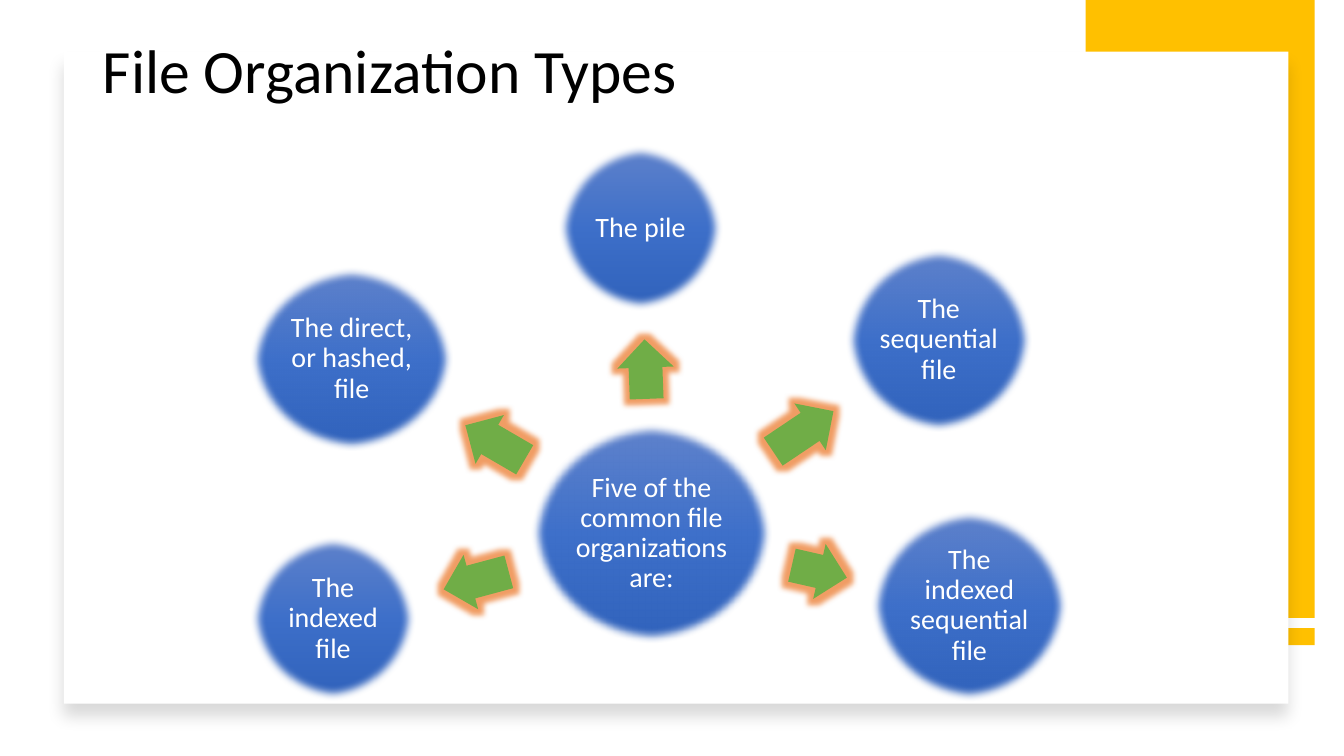
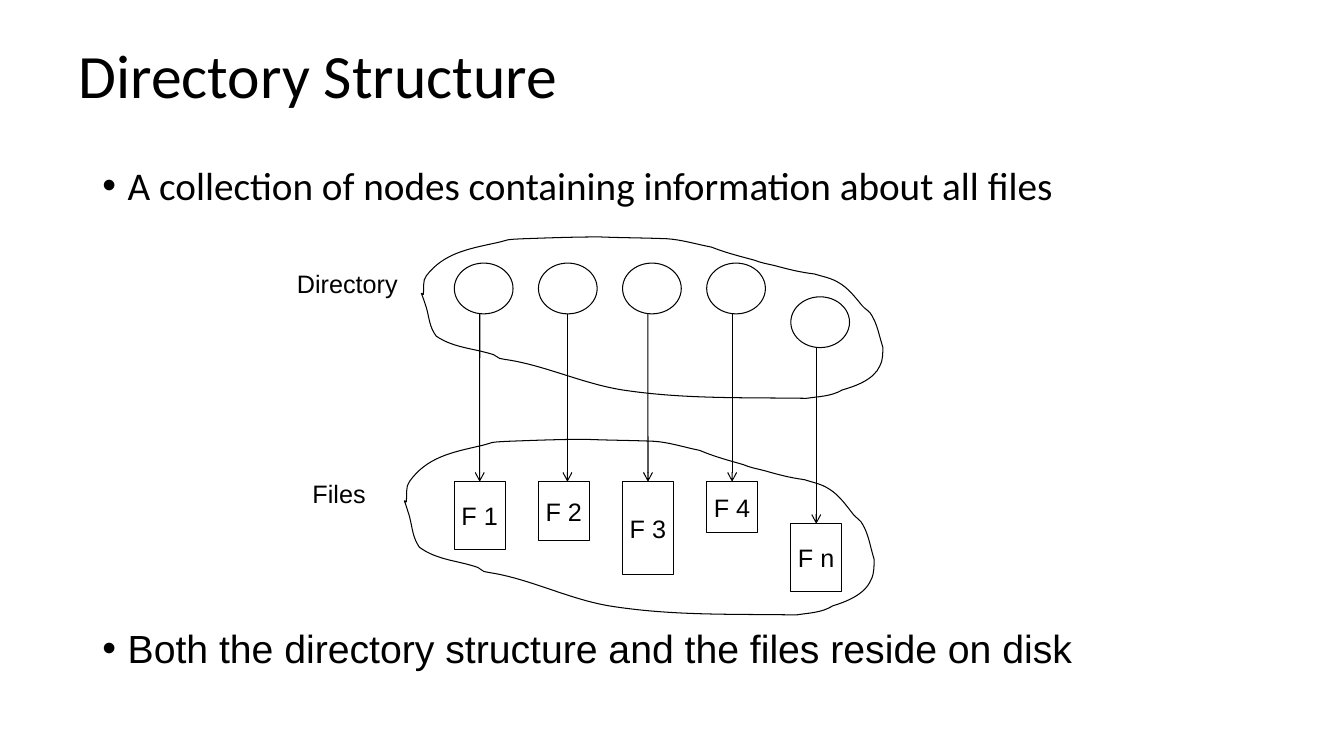
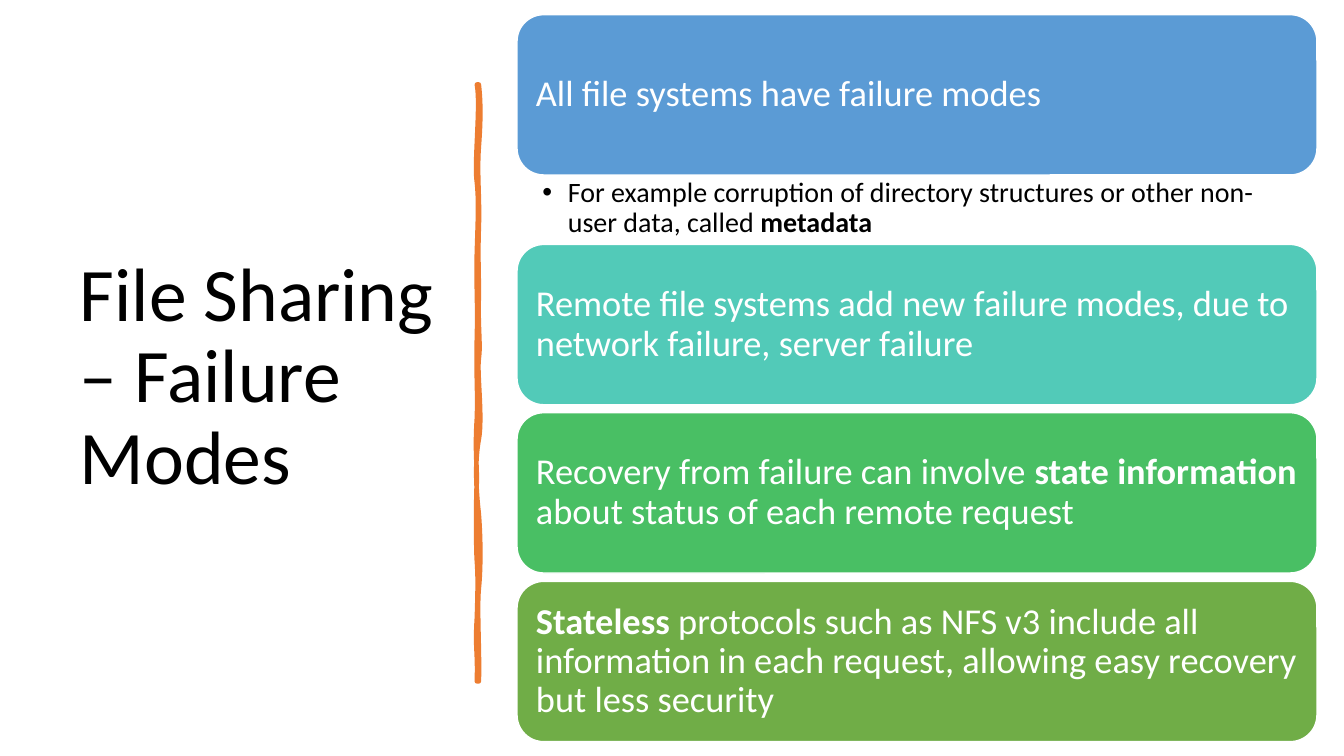
"""Builds three slides on file organization, directories and failure modes."""
from copy import deepcopy
from dataclasses import dataclass
from typing import Any

from lxml.etree import SubElement
from pptx import Presentation
from pptx.dml.color import RGBColor
from pptx.enum.shapes import MSO_CONNECTOR, MSO_SHAPE
from pptx.enum.text import MSO_ANCHOR, MSO_AUTO_SIZE, PP_ALIGN
from pptx.oxml.ns import qn
from pptx.util import Cm, Pt

BLACK = RGBColor(0x00, 0x00, 0x00)
WHITE = RGBColor(0xFF, 0xFF, 0xFF)
GOLD = RGBColor(0xFF, 0xC0, 0x00)
ORANGE = RGBColor(0xED, 0x7D, 0x31)
GREEN = RGBColor(0x70, 0xAD, 0x47)
SKY = RGBColor(0x5B, 0x9B, 0xD5)
TEAL = RGBColor(0x52, 0xCA, 0xB8)
EMERALD = RGBColor(0x49, 0xBF, 0x64)
BLUES = (
    (0, RGBColor(0x61, 0x83, 0xCB)),
    (0.5, RGBColor(0x3E, 0x70, 0xCA)),
    (1, RGBColor(0x30, 0x62, 0xBB)),
)

Box = tuple[float, float, float, float]
Curve = tuple[tuple[int, int], ...]

BLOB_SIZE = (466, 175)
BLOB: Curve = (
    (2, 62), (3, 55), (1, 47), (5, 42), (22, 18), (47, 13), (73, 7),
    (91, 3), (81, 3), (103, 2), (129, 1), (155, 0), (180, 0),
    (203, 1), (225, 1), (248, 2), (263, 3), (278, 8), (293, 11),
    (307, 17), (322, 21), (336, 25), (343, 28), (349, 29), (357, 31),
    (371, 35), (382, 38), (397, 40), (406, 43), (413, 44), (421, 49),
    (431, 55), (438, 65), (445, 74), (448, 78), (453, 80), (455, 85),
    (459, 92), (461, 100), (463, 108), (464, 112), (466, 119), (466, 119),
    (466, 124), (466, 134), (463, 139), (457, 154), (438, 161), (425, 165),
    (414, 172), (401, 172), (389, 174), (324, 173), (265, 175), (203, 165),
    (162, 158), (124, 138), (84, 132), (82, 132), (81, 131), (79, 131),
    (77, 130), (75, 128), (73, 127), (53, 120), (33, 120), (15, 107),
    (8, 97), (8, 87), (5, 76), (5, 76), (1, 63), (0, 61),
    (0, 60), (1, 62), (2, 62),
)
STROKE_SIZE = (9, 592)
STROKE: Curve = (
    (5, 0), (7, 18), (7, 35), (5, 62), (3, 89), (6, 111), (5, 142),
    (4, 173), (5, 178), (5, 210), (4, 241), (7, 258), (5, 272),
    (3, 286), (9, 330), (5, 352), (1, 373), (2, 400), (5, 426),
    (7, 452), (7, 480), (5, 500), (3, 519), (6, 566), (5, 592),
    (4, 592), (3, 592), (3, 592), (4, 562), (1, 560), (3, 529),
    (4, 499), (4, 486), (3, 473), (2, 460), (2, 411), (3, 393),
    (3, 375), (1, 361), (3, 331), (4, 302), (2, 289), (3, 251),
    (4, 214), (2, 197), (3, 166), (4, 134), (5, 116), (3, 97),
    (0, 79), (7, 20), (3, 0), (4, 0), (4, 0), (5, 0),
)


@dataclass(frozen=True)
class Node:
    text: str
    box: Box


@dataclass(frozen=True)
class Arrow:
    box: Box
    angle: float


@dataclass(frozen=True)
class File:
    name: str
    height: float
    top: float = 12.14
    node_top: float = 6.63
    arrow_shift: float = 0


@dataclass(frozen=True)
class Card:
    text: str
    color: RGBColor
    top: float


NODES = (
    Node("Five of the common file organizations are:", (13.37, 10.66, 6.1, 5.56)),
    Node("The pile", (14.05, 3.65, 4.19, 4.19)),
    Node("The sequential file", (21.31, 6.23, 4.7, 4.67)),
    Node("The indexed sequential file", (21.93, 12.85, 5, 4.83)),
    Node("The indexed file", (6.3, 13.5, 4.19, 4.19)),
    Node("The direct, or hashed, file", (6.3, 6.71, 5.13, 4.67)),
)
ARROWS = (
    Arrow((15.52, 8.59, 1.5, 1.42), 267.9),
    Arrow((19.33, 10.16, 1.83, 1.42), 326.1),
    Arrow((19.94, 13.69, 1.42, 1.42), 12.8),
    Arrow((11.15, 13.92, 1.7, 1.42), 165),
    Arrow((11.61, 10.44, 1.73, 1.42), 210.2),
)
FILES = (
    File("F 1", 1.7),
    File("F 2", 1.48, arrow_shift=0.09),
    File("F 3", 2.34),
    File("F 4", 1.28),
    File("F n", 1.7, top=13.2, node_top=7.48),
)
CARDS = (
    Card("All file systems have failure modes", SKY, 0.37),
    Card("Remote file systems add new failure modes, due to network failure, "
         "server failure", TEAL, 6.16),
    Card("Recovery from failure can involve *state information *about status of "
         "each remote request", EMERALD, 10.4),
    Card("*Stateless* protocols such as NFS v3 include all information in each "
         "request, allowing easy recovery but less security", GREEN, 14.65),
)


def apply(obj: Any, values: dict[str, Any]) -> None:
    """Set each named attribute on an object."""
    for name, value in values.items():
        setattr(obj, name, value)


def frame(tf: Any, insets: Box = (0.25, 0.13, 0.25, 0.13), wrap: bool = True,
          anchor: MSO_ANCHOR = MSO_ANCHOR.MIDDLE) -> None:
    """Format a text frame; insets run left, top, right, bottom."""
    left, top, right, bottom = map(Cm, insets)
    apply(tf, {
        "auto_size": MSO_AUTO_SIZE.NONE, "word_wrap": wrap, "vertical_anchor": anchor,
        "margin_left": left, "margin_top": top,
        "margin_right": right, "margin_bottom": bottom,
    })


def write(p: Any, text: str, size: float, color: RGBColor = BLACK, font: str = "Calibri",
          align: PP_ALIGN = PP_ALIGN.LEFT, spacing: float = 0.9) -> None:
    """Write one paragraph, with bold parts between asterisks."""
    apply(p, {"alignment": align, "line_spacing": spacing})
    for i, part in enumerate(text.split("*")):
        if part:
            r = p.add_run()
            r.text = part
            apply(r.font, {"name": font, "size": Pt(size), "bold": i % 2 == 1})
            r.font.color.rgb = color


def bullet(p: Any) -> None:
    """Give a paragraph a hanging round bullet."""
    pPr = p._p.get_or_add_pPr()
    pPr.set("marL", str(Cm(0.64)))
    pPr.set("indent", str(-Cm(0.64)))
    SubElement(pPr, qn("a:buFont"), typeface="Arial")
    SubElement(pPr, qn("a:buChar"), char="•")


def paint(s: Any, fill: RGBColor | None = None, line: RGBColor | None = None,
          width: float = 0.75) -> None:
    """Set fill and outline and drop the theme shadow."""
    s.shadow.inherit = False
    if fill is None:
        s.fill.background()
    else:
        s.fill.solid()
        s.fill.fore_color.rgb = fill
    if line is None:
        s.line.fill.background()
    else:
        s.line.color.rgb = line
        s.line.width = Pt(width)


def add_shape(sl: Any, kind: MSO_SHAPE, box: Box, fill: RGBColor | None = None,
              line: RGBColor | None = None, width: float = 0.75) -> Any:
    """Add a painted preset shape."""
    s = sl.shapes.add_shape(kind, *map(Cm, box))
    paint(s, fill, line, width)
    return s


def add_effect(s: Any, tag: str, color: RGBColor | None = None, alpha: int = 100,
               **values: Any) -> None:
    """Add an effect to a shape, with a colour where it needs one."""
    effect = SubElement(s._element.spPr.find(qn("a:effectLst")), qn(tag),
                        {k: str(v) for k, v in values.items()})
    if color is not None:
        clr = SubElement(effect, qn("a:srgbClr"), val=str(color))
        SubElement(clr, qn("a:alpha"), val=str(alpha * 1000))


def add_curve(sl: Any, pts: Curve, size: tuple[int, int], box: Box) -> Any:
    """Draw a closed outline of cubic curves scaled to a box."""
    left, top, width, height = map(Cm, box)
    scaled = [(round(left + x * width / size[0]), round(top + y * height / size[1]))
              for x, y in pts]
    builder = sl.shapes.build_freeform(*scaled[0], scale=1.0)
    builder.add_line_segments(scaled[3::3], close=True)
    s = builder.convert_to_shape()
    for i, segment in enumerate(s._element.xpath(".//a:lnTo")):
        segment.tag = qn("a:cubicBezTo")
        segment.remove(segment[0])
        for x, y in scaled[3 * i + 1:3 * i + 4]:
            SubElement(segment, qn("a:pt"), x=str(x - s.left), y=str(y - s.top))
    return s


def add_slide(prs: Any, title: str, box: Box, size: float = 44) -> Any:
    """Add a title-only slide with its title placed and formatted."""
    sl = prs.slides.add_slide(prs.slide_layouts[5])
    s = sl.shapes.title
    apply(s, dict(zip(("left", "top", "width", "height"), map(Cm, box))))
    frame(s.text_frame)
    write(s.text_frame.paragraphs[0], title, size)
    return sl


def add_node(sl: Any, node: Node) -> None:
    """Draw a soft-edged gradient circle with its label."""
    s = add_shape(sl, MSO_SHAPE.OVAL, node.box)
    s.fill.gradient()
    s.fill.gradient_angle = 270
    first = s._element.xpath(".//a:gs")[0]
    first.addnext(deepcopy(first))
    for stop, (position, color) in zip(s.fill.gradient_stops, BLUES):
        stop.position = position
        stop.color.rgb = color
    add_effect(s, "a:softEdge", rad=Pt(6))
    frame(s.text_frame, (0.07, 0.07, 0.07, 0.07))
    write(s.text_frame.paragraphs[0], node.text, 20, WHITE, align=PP_ALIGN.CENTER)


def add_arrow(sl: Any, arrow: Arrow) -> None:
    """Draw a glowing block arrow."""
    s = add_shape(sl, MSO_SHAPE.RIGHT_ARROW, arrow.box, GREEN)
    s.rotation = arrow.angle
    s.adjustments[0], s.adjustments[1] = 0.6, 0.5
    add_effect(s, "a:glow", ORANGE, 75, rad=Pt(8))


def add_file(sl: Any, left: float, file: File) -> None:
    """Draw a directory node, its file and the arrow between them."""
    add_shape(sl, MSO_SHAPE.OVAL, (left, file.node_top, 1.48, 1.28), WHITE, BLACK)
    s = add_shape(sl, MSO_SHAPE.RECTANGLE, (left, file.top, 1.28, file.height), WHITE, BLACK)
    frame(s.text_frame, wrap=False)
    write(s.text_frame.paragraphs[0], file.name, 18, font="Arial",
          align=PP_ALIGN.CENTER, spacing=1.0)
    x = Cm(left + 0.64 + file.arrow_shift)
    c = sl.shapes.add_connector(MSO_CONNECTOR.STRAIGHT, x, Cm(file.node_top + 1.28),
                                x, Cm(file.top))
    if not file.arrow_shift:
        c.end_connect(s, 0)
    c.line.color.rgb = BLACK
    c.line.width = Pt(0.75)
    SubElement(c.line._get_or_add_ln(), qn("a:tailEnd"), type="arrow")
    SubElement(c._element.spPr, qn("a:effectLst"))


def add_label(sl: Any, text: str, box: Box) -> None:
    """Add a centred diagram label."""
    tf = sl.shapes.add_textbox(*map(Cm, box)).text_frame
    frame(tf, wrap=False)
    write(tf.paragraphs[0], text, 18, font="Arial", align=PP_ALIGN.CENTER, spacing=1.0)


def add_card(sl: Any, card: Card) -> None:
    """Draw a rounded statement card."""
    s = add_shape(sl, MSO_SHAPE.ROUNDED_RECTANGLE, (13.03, card.top, 20.16, 4.04),
                  card.color, WHITE, 1)
    frame(s.text_frame, (0.28, 0.28, 0.2, 0.28))
    write(s.text_frame.paragraphs[0], card.text, 26, WHITE)


def organization_slide(prs: Any) -> None:
    """Build the file organization types slide."""
    sl = add_slide(prs, "File Organization Types", (2.34, 0.02, 29.21, 3.68))
    for top, height in ((15.83, 0.43), (0, 15.57)):
        add_shape(sl, MSO_SHAPE.RECTANGLE, (27.36, top, 5.77, height), GOLD)
    panel = add_shape(sl, MSO_SHAPE.RECTANGLE, (1.61, 1.3, 30.86, 16.43), WHITE)
    add_effect(panel, "a:outerShdw", BLACK, 15, blurRad=Pt(11), dist=Pt(10), dir=5400000)
    panel._element.addnext(sl.shapes.title._element)
    for node in NODES:
        add_node(sl, node)
    for arrow in ARROWS:
        add_arrow(sl, arrow)


def directory_slide(prs: Any) -> None:
    """Build the directory structure slide."""
    sl = add_slide(prs, "Directory Structure", (1.73, 0.15, 29.21, 3.68))
    tf = sl.shapes.add_textbox(*map(Cm, (2.33, 4.17, 29.21, 13.87))).text_frame
    frame(tf, anchor=MSO_ANCHOR.TOP)
    first, last = tf.paragraphs[0], tf.add_paragraph()
    for p, text, font in (
        (first, "A collection of nodes containing information about all files", "Calibri"),
        (last, "Both the directory structure and the files reside on disk", "Arial"),
    ):
        bullet(p)
        write(p, text, 28, font=font, spacing=0.8)
    last.space_before = Pt(304)
    for i, file in enumerate(FILES):
        add_file(sl, 11.45 + 2.12 * i, file)
    for box in ((10.19, 11.07, 11.84, 4.45), (10.62, 5.97, 11.63, 4.09)):
        paint(add_curve(sl, BLOB, BLOB_SIZE, box), line=BLACK)
    add_label(sl, "Directory", (7.23, 6.63, 3.05, 1.02))
    add_label(sl, "Files", (7.62, 11.93, 1.85, 1.02))


def failure_slide(prs: Any) -> None:
    """Build the failure modes slide."""
    sl = add_slide(prs, "File Sharing – Failure Modes", (1.76, 1.77, 9.5, 15.52), 54)
    stroke = add_curve(sl, STROKE, STROKE_SIZE, (11.94, 2.13, 0.23, 15.04))
    paint(stroke, ORANGE, ORANGE, 3.25)
    SubElement(stroke.line._get_or_add_ln(), qn("a:round"))
    for card in CARDS:
        add_card(sl, card)
    tf = sl.shapes.add_textbox(*map(Cm, (13.03, 4.39, 20.14, 1.75))).text_frame
    frame(tf, (0.64, 0.1, 0.51, 0.1), anchor=MSO_ANCHOR.TOP)
    bullet(tf.paragraphs[0])
    write(tf.paragraphs[0], "For example corruption of directory structures or other "
          "non-user data, called *metadata*", 20)


def main() -> None:
    """Build and save the presentation."""
    prs = Presentation()
    prs.slide_width, prs.slide_height = Cm(33.87), Cm(19.05)
    for build in (organization_slide, directory_slide, failure_slide):
        build(prs)
    prs.save("out.pptx")


if __name__ == "__main__":
    main()
